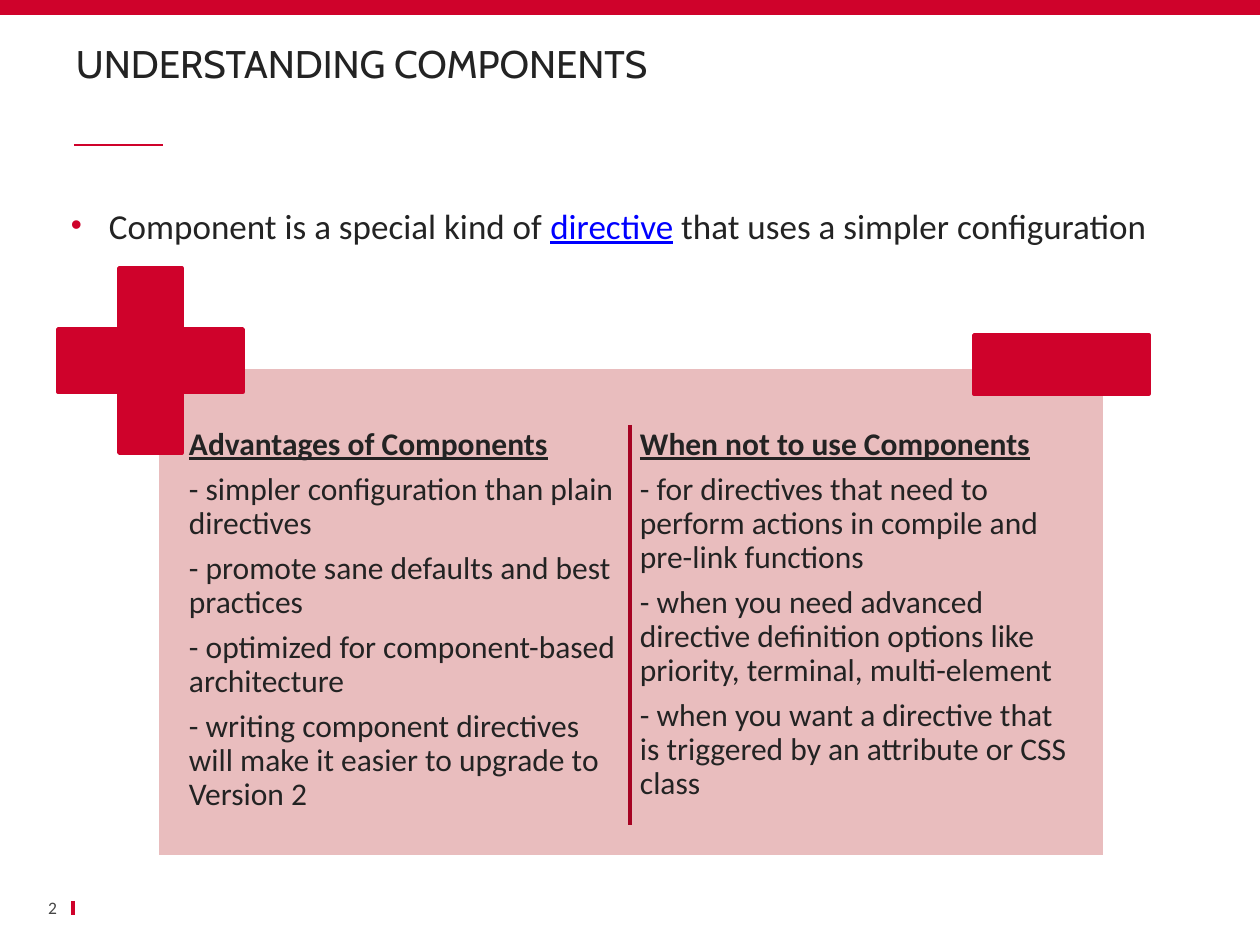
from lxml import etree
from pptx import Presentation
from pptx.dml.color import RGBColor
from pptx.enum.shapes import MSO_CONNECTOR, MSO_SHAPE
from pptx.enum.text import MSO_ANCHOR, MSO_AUTO_SIZE, PP_ALIGN
from pptx.oxml.ns import qn
from pptx.util import Emu, Pt

RECT, CROSS = MSO_SHAPE.RECTANGLE, MSO_SHAPE.CROSS
STRAIGHT = MSO_CONNECTOR.STRAIGHT
TOP, MIDDLE = MSO_ANCHOR.TOP, MSO_ANCHOR.MIDDLE
LEFT, RIGHT = PP_ALIGN.LEFT, PP_ALIGN.RIGHT
NO_FIT = MSO_AUTO_SIZE.NONE

EMU_PER_PX = 914400 / 126
RED, DARK_RED, PINK, WHITE = "CF022B", "A60222", "E9BDBE", "FFFFFF"
INK, GREY, BLUE = "232323", "464646", "0000FF"


def px(n):
    return Emu(round(n * EMU_PER_PX))


def color(value):
    return RGBColor.from_string(value)


class Deck:
    """Holds the style and the slide being built."""

    font = "Calibri"
    title_font = "Cabin"

    def __init__(self, width, height):
        self.prs = Presentation()
        self.prs.slide_width, self.prs.slide_height = px(width), px(height)
        self.s = self.prs.slides.add_slide(self.prs.slide_layouts[1])

    def frame(self, sp, box, insets=(0, 0, 0, 0), anchor=TOP):
        sp.left, sp.top, sp.width, sp.height = map(px, box)
        tf = sp.text_frame
        tf.word_wrap, tf.auto_size, tf.vertical_anchor = True, NO_FIT, anchor
        (tf.margin_left, tf.margin_top,
         tf.margin_right, tf.margin_bottom) = map(px, insets)
        return tf

    def run(self, p, text, size, ink=INK, font=None, bold=False, underline=False):
        r = p.add_run()
        r.text = text
        r.font.name, r.font.size = font or self.font, Pt(size)
        r.font.bold, r.font.underline = bold, underline
        r.font.color.rgb = color(ink)

    def title(self, text, box):
        p = self.frame(self.s.shapes.title, box, (0, 6, 0, 6), MIDDLE).paragraphs[0]
        p.alignment, p.line_spacing = LEFT, 0.9
        self.run(p, text, 22, font=self.title_font)

    def bullet(self, parts, box):
        p = self.frame(self.s.placeholders[1], box).paragraphs[0]
        p.space_before = Pt(18)
        pPr = p._p.get_or_add_pPr()
        pPr.set("marL", str(px(38)))
        pPr.set("indent", str(-px(38)))
        clr = etree.SubElement(pPr, qn("a:buClr"))
        etree.SubElement(clr, qn("a:srgbClr"), val=RED)
        etree.SubElement(pPr, qn("a:buSzPct"), val="90000")
        etree.SubElement(pPr, qn("a:buChar"), char="•")
        for text, ink, underline in parts:
            self.run(p, text, 20, ink, underline=underline)

    def number(self, text, box):
        tf = self.frame(self.s.shapes.add_textbox(0, 0, 0, 0), box, (0, 6, 0, 6), MIDDLE)
        p = tf.paragraphs[0]
        p.alignment = RIGHT
        self.run(p, text, 10, GREY)

    def column(self, heading, points, box):
        tf = self.frame(self.s.shapes.add_textbox(0, 0, 0, 0), box, (5, 5, 5, 5))
        for i, text in enumerate([heading] + points):
            p = tf.add_paragraph() if i else tf.paragraphs[0]
            p.line_spacing, p.space_after = 0.9, Pt(6.3)
            self.run(p, text, 18, bold=i == 0, underline=i == 0)

    def shape(self, kind, box, fill, line=None):
        sp = self.s.shapes.add_shape(kind, *map(px, box))
        sp.shadow.inherit = False
        sp.fill.solid()
        sp.fill.fore_color.rgb = color(fill)
        if line:
            sp.line.color.rgb, sp.line.width = color(line), Pt(2)
        else:
            sp.line.fill.background()
        return sp

    def line(self, x1, y1, x2, y2, ink, width):
        c = self.s.shapes.add_connector(STRAIGHT, *map(px, (x1, y1, x2, y2)))
        c.line.color.rgb, c.line.width = color(ink), Pt(width)
        etree.SubElement(c._element.spPr, qn("a:effectLst"))


def main():
    deck = Deck(1260, 945)

    # Page furniture
    deck.shape(RECT, (0, 0, 1260, 15), RED)
    deck.line(74, 145, 163, 145, RED, 1)
    deck.line(73, 901, 73, 915, RED, 2.25)
    deck.number("2", (16, 896, 41, 23))

    # Title and definition
    deck.title("UNDERSTANDING COMPONENTS", (76, 44, 1109, 45))
    deck.bullet([
        ("Component is a special kind of\u00a0", INK, False),
        ("directive", BLUE, True),
        ("\u00a0that uses a simpler configuration", INK, False),
    ], (71, 204, 1115, 645))

    # Comparison panel
    deck.shape(RECT, (157, 367, 948, 490), PINK, WHITE)
    columns = [
        ("Advantages of Components", [
            "- simpler configuration than plain directives",
            "- promote sane defaults and best practices",
            "- optimized for component-based architecture",
            "- writing component directives will make it easier to upgrade to Version 2",
        ]),
        ("When not to use Components", [
            "- for directives that need to perform actions in compile and pre-link functions",
            "- when you need advanced directive definition options like priority, "
            "terminal, multi-element",
            "- when you want a directive that is triggered by an attribute or CSS class",
        ]),
    ]
    for i, (heading, points) in enumerate(columns):
        deck.column(heading, points, (184 + 451 * i, 423, 441, 420))

    # Plus, minus and divider
    plus = deck.shape(CROSS, (58, 268, 185, 185), RED, RED)
    plus.adjustments[0] = 0.33
    deck.shape(RECT, (974, 335, 175, 59), RED, RED)
    deck.line(630, 425, 630, 825, DARK_RED, 2)

    deck.prs.save("out.pptx")


if __name__ == "__main__":
    main()
